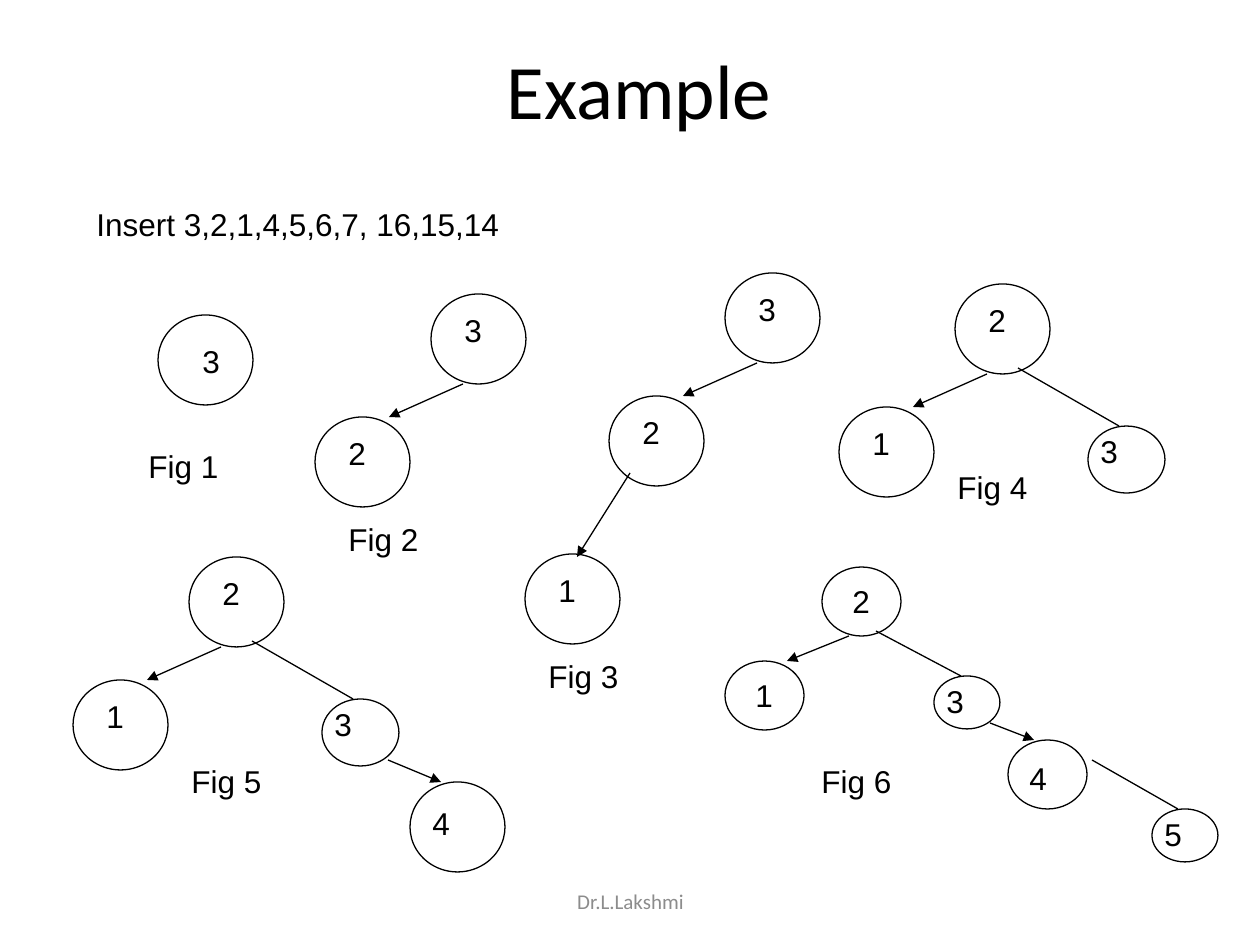
"""Build a slide that shows step-by-step insertion into a binary search tree."""
from lxml import etree
from pptx import Presentation
from pptx.dml.color import RGBColor
from pptx.enum.shapes import MSO_CONNECTOR, MSO_SHAPE
from pptx.enum.text import MSO_ANCHOR, MSO_AUTO_SIZE, PP_ALIGN
from pptx.oxml.ns import qn
from pptx.util import Emu, Pt

STRAIGHT, OVAL = MSO_CONNECTOR.STRAIGHT, MSO_SHAPE.OVAL
TOP, MIDDLE = MSO_ANCHOR.TOP, MSO_ANCHOR.MIDDLE
LEFT, CENTER = PP_ALIGN.LEFT, PP_ALIGN.CENTER
GROW, FIXED = MSO_AUTO_SIZE.SHAPE_TO_FIT_TEXT, MSO_AUTO_SIZE.NONE
BLACK, GRAY = RGBColor(0, 0, 0), RGBColor(0x8C, 0x8C, 0x8C)

EMU_PER_PX = 914400 / 126
SLIDE_SIZE = (1260, 945)
LABEL_HEIGHT = 50

BODY = {"size": Pt(18), "name": "Arial", "color": BLACK}
TITLE = {"size": Pt(44), "name": "Calibri", "color": BLACK}
FOOTER = {"size": Pt(12), "name": "Calibri", "color": GRAY}

# oval width, oval height, then label dx, dy, width, height
NODE_STYLES = {
    "first": (95, 90, 32, 21, 168, 50),
    "root": (95, 90, 21, 11, 168, 50),
    "child": (95, 90, 21, 11, 105, 50),
    "leaf": (95, 90, 10, 16, 126, 50),
    "small": (77, 67, 0, 0, 77, 63),
    "mid root": (79, 69, 18, 9, 141, 50),
    "mid child": (79, 69, 18, 9, 88, 50),
    "mid leaf": (79, 69, 9, 13, 106, 50),
    "tiny": (66, 53, 0, 0, 66, 63),
}

LEFT_SPOT, RIGHT_SPOT = (-116, 123), (133, 142)
LEFT_EDGE = (32, 90, -42, 123, True)
RIGHT_EDGE = (63, 84, 164, 142, False)

FIGURES = [
    {"origin": (158, 315), "caption": ("Fig 1", -22, 126, 126),
     "nodes": [("3", "first", 0, 0)], "edges": []},
    {"origin": (431, 294), "caption": ("Fig 2", -95, 220, 158),
     "nodes": [("3", "root", 0, 0), ("2", "child", *LEFT_SPOT)],
     "edges": [LEFT_EDGE]},
    {"origin": (725, 273), "caption": ("Fig 3", -189, 378, 158),
     "nodes": [("3", "root", 0, 0), ("2", "child", *LEFT_SPOT),
               ("1", "root", -200, 281)],
     "edges": [LEFT_EDGE, (-95, 200, -148, 284, True)]},
    {"origin": (955, 284), "caption": ("Fig 4", -10, 178, 158),
     "nodes": [("2", "root", 0, 0), ("1", "child", *LEFT_SPOT),
               ("3", "small", *RIGHT_SPOT)],
     "edges": [LEFT_EDGE, RIGHT_EDGE]},
    {"origin": (189, 557), "caption": ("Fig 5", -10, 199, 158),
     "nodes": [("2", "root", 0, 0), ("1", "child", *LEFT_SPOT),
               ("3", "small", *RIGHT_SPOT), ("4", "leaf", 221, 225)],
     "edges": [LEFT_EDGE, RIGHT_EDGE, (199, 203, 252, 225, True)]},
    {"origin": (822, 567), "caption": ("Fig 6", -13, 189, 158),
     "nodes": [("2", "mid root", 0, 0), ("1", "mid child", -97, 94),
               ("3", "tiny", 112, 109), ("4", "mid leaf", 186, 173),
               ("5", "tiny", 330, 242)],
     "edges": [(27, 69, -35, 94, True), (54, 64, 139, 109, False),
               (168, 156, 212, 173, True), (270, 193, 356, 242, False)]},
]


def px(*lengths):
    return [Emu(round(length * EMU_PER_PX)) for length in lengths]


def add_text(shapes, text, place, font, align=LEFT, anchor=TOP, fit=GROW):
    frame = shapes.add_textbox(*px(*place)).text_frame
    layout = {"word_wrap": True, "auto_size": fit, "vertical_anchor": anchor}
    for name, value in layout.items():
        setattr(frame, name, value)
    para = frame.paragraphs[0]
    para.alignment = align
    span = para.add_run()
    span.text = text
    for name in ("size", "name"):
        setattr(span.font, name, font[name])
    span.font.color.rgb = font["color"]


def set_line(shape):
    shape.line.color.rgb = BLACK
    shape.line.width = Pt(0.75)


def add_node(shapes, text, style, x, y):
    width, height, dx, dy, label_width, label_height = NODE_STYLES[style]
    oval = shapes.add_shape(OVAL, *px(x, y, width, height))
    oval.shadow.inherit = False
    oval.fill.background()
    set_line(oval)
    add_text(shapes, text, (x + dx, y + dy, label_width, label_height), BODY)


def add_edge(shapes, ends, has_arrow):
    edge = shapes.add_connector(STRAIGHT, *px(*ends))
    set_line(edge)
    if has_arrow:
        etree.SubElement(edge.line._get_or_add_ln(), qn("a:tailEnd"), type="triangle")
    etree.SubElement(edge._element.spPr, qn("a:effectLst"))


def add_figure(slide, figure):
    shapes = slide.shapes.add_group_shape().shapes
    left, top = figure["origin"]
    for text, style, x, y in figure["nodes"]:
        add_node(shapes, text, style, left + x, top + y)
    for x1, y1, x2, y2, has_arrow in figure["edges"]:
        add_edge(shapes, (left + x1, top + y1, left + x2, top + y2), has_arrow)
    text, x, y, width = figure["caption"]
    add_text(shapes, text, (left + x, top + y, width, LABEL_HEIGHT), BODY)


def main():
    deck = Presentation()
    deck.slide_width, deck.slide_height = px(*SLIDE_SIZE)
    slide = deck.slides.add_slide(deck.slide_layouts[6])
    add_text(slide.shapes, " Example", (95, 10, 1071, 158), TITLE, CENTER, MIDDLE, FIXED)
    add_text(slide.shapes, "Insert 3,2,1,4,5,6,7, 16,15,14", (84, 199, 892, 63), BODY)
    for figure in FIGURES:
        add_figure(slide, figure)
    add_text(slide.shapes, "Dr.L.Lakshmi", (431, 876, 399, 50), FOOTER, CENTER, MIDDLE, FIXED)
    deck.save("out.pptx")


if __name__ == "__main__":
    main()
